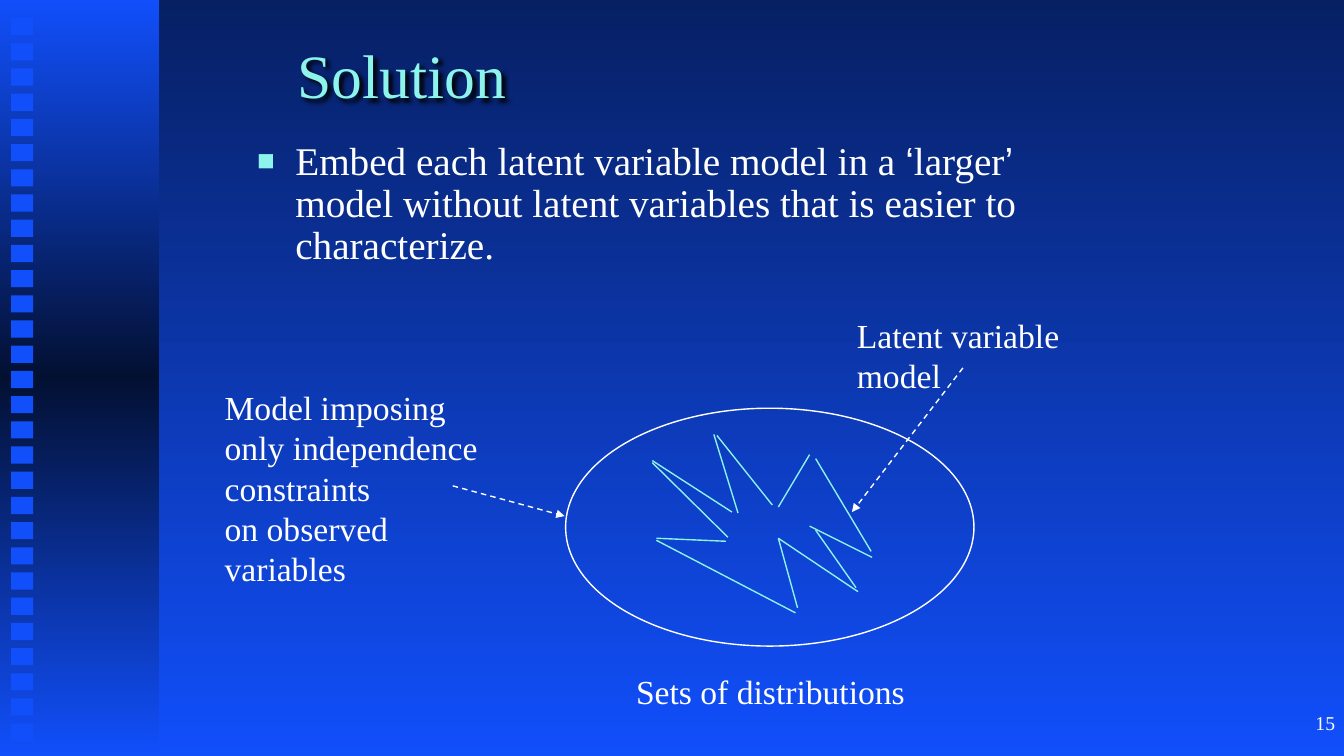
from copy import deepcopy
from dataclasses import dataclass

from lxml.etree import SubElement
from pptx import Presentation
from pptx.dml.color import RGBColor
from pptx.dml.fill import FillFormat
from pptx.enum.dml import MSO_LINE
from pptx.enum.shapes import MSO_CONNECTOR, MSO_SHAPE as Preset
from pptx.enum.text import MSO_ANCHOR as Anchor, MSO_AUTO_SIZE as AutoSize, PP_ALIGN as Align
from pptx.oxml.ns import qn
from pptx.shapes.base import BaseShape
from pptx.slide import Slide
from pptx.text.text import Font
from pptx.util import Inches, Length, Pt

BLUE = RGBColor(0x11, 0x4F, 0xFB)
NAVY = RGBColor(0x07, 0x20, 0x64)
MIDNIGHT = RGBColor(0x03, 0x10, 0x32)
AQUA = RGBColor(0x8C, 0xF4, 0xEA)
WHITE = RGBColor(0xFF, 0xFF, 0xFF)
SERIF, SANS = "Times New Roman", "Arial"

# Grid: 30 rows on the slide's height, columns as wide as the rows are high
SLIDE_WIDTH, SLIDE_HEIGHT = Inches(13.33), Inches(7.5)
ROWS = 30
MARK_COUNT = 29


def grid(units: float) -> Length:
    return Length(round(SLIDE_HEIGHT * units / ROWS))


@dataclass(frozen=True)
class Box:
    column: float
    row: float
    columns: float
    rows: float

    def lengths(self) -> tuple[Length, ...]:
        return tuple(map(grid, (self.column, self.row, self.columns, self.rows)))


@dataclass(frozen=True)
class Stroke:
    from_column: float
    from_row: float
    to_column: float
    to_row: float


@dataclass(frozen=True)
class Label:
    box: Box
    lines: tuple[str, ...]
    wrap: bool = False
    size: int = 24
    align: Align = Align.LEFT


PANEL = Box(0, 0, 6.32, 29.96)
TITLE = Box(11.4, 0.92, 33.76, 4)
BODY = Box(9.8, 5.4, 34.08, 5.6)
OUTER_MODEL = Box(22.44, 16.2, 16.2, 9.44)

BODY_RUNS = (
    ("Embed each latent variable model in a ", SERIF),
    ("‘", SANS),
    ("larger", SERIF),
    ("’", SANS),
    (" model without latent variables that is easier to characterize.", SERIF),
)

LATENT_MODEL = (
    Stroke(25.88, 18.28, 29.04, 20.32),
    Stroke(29.28, 20.36, 28.32, 17.24),
    Stroke(28.44, 17.28, 30.64, 20.04),
    Stroke(30.88, 20.12, 32.12, 18.04),
    Stroke(32.36, 18.2, 34.56, 21.88),
    Stroke(34.6, 22.12, 32.12, 20.88),
    Stroke(32.36, 21.04, 33.96, 23.32),
    Stroke(30.88, 21.36, 34.04, 23.48),
    Stroke(30.88, 21.36, 31.64, 24.12),
    Stroke(25.88, 18.36, 28.88, 21.32),
    Stroke(26.04, 21.36, 28.8, 21.48),
    Stroke(26.04, 21.44, 31.56, 24.32),
)
POINTERS = (
    Stroke(17.96, 19.28, 22.4, 20.48),
    Stroke(38.2, 14.6, 33.8, 20.32),
)
LABELS = (
    Label(Box(33.6, 12.28, 8.88, 3.64), ("Latent variable", "model")),
    Label(
        Box(8.52, 15.16, 12.4, 6.84),
        ("Model imposing", "only independence", "constraints", "on observed variables"),
        wrap=True,
    ),
    Label(Box(24.84, 26.44, 11.56, 2), ("Sets of distributions",)),
    Label(Box(42.24, 28, 11.12, 2), ("15",), wrap=True, size=14, align=Align.RIGHT),
)


def set_font(font: Font, size: float, color: RGBColor) -> None:
    font.name, font.size = SERIF, Pt(size)
    font.color.rgb = color


def set_gradient(fill: FillFormat, owner, colors: tuple[RGBColor, ...]) -> None:
    """Fill from top to bottom with evenly spaced colours."""
    fill.gradient()
    fill.gradient_angle = 270
    stops = owner.find(".//" + qn("a:gsLst"))
    while len(stops) < len(colors):
        stops.append(deepcopy(stops[0]))
    for index, (stop, color) in enumerate(zip(fill.gradient_stops, colors)):
        stop.color.rgb = color
        stop.position = index / (len(colors) - 1)


def add_preset(slide: Slide, preset: Preset, box: Box) -> BaseShape:
    shape = slide.shapes.add_shape(preset, *box.lengths())
    shape.shadow.inherit = False
    shape.line.fill.background()
    return shape


def add_stroke(slide: Slide, stroke: Stroke, color: RGBColor, pointer: bool = False) -> None:
    ends = (stroke.from_column, stroke.from_row, stroke.to_column, stroke.to_row)
    connector = slide.shapes.add_connector(MSO_CONNECTOR.STRAIGHT, *map(grid, ends))
    connector.line.color.rgb = color
    connector.line.width = Pt(1)
    properties = connector.element.spPr
    if pointer:
        connector.line.dash_style = MSO_LINE.DASH
        SubElement(properties.find(qn("a:ln")), qn("a:tailEnd"), type="triangle")
    SubElement(properties, qn("a:effectLst"))


def add_label(slide: Slide, label: Label) -> None:
    frame = slide.shapes.add_textbox(*label.box.lengths()).text_frame
    frame.word_wrap = label.wrap
    frame.text = "\n".join(label.lines)
    for paragraph in frame.paragraphs:
        paragraph.alignment = label.align
        set_font(paragraph.font, label.size, WHITE)


def place(shape: BaseShape, box: Box, anchor: Anchor) -> None:
    shape.left, shape.top, shape.width, shape.height = box.lengths()
    shape.text_frame.vertical_anchor = anchor
    shape.text_frame.auto_size = AutoSize.NONE


def fill_title(title: BaseShape) -> None:
    place(title, TITLE, Anchor.MIDDLE)
    title.text_frame.text = "Solution"
    paragraph = title.text_frame.paragraphs[0]
    paragraph.alignment = Align.LEFT
    set_font(paragraph.font, 44, AQUA)
    effects = SubElement(title.element.spPr, qn("a:effectLst"))
    shadow = SubElement(effects, qn("a:outerShdw"), blurRad="38100", dist="38100", dir="2700000")
    SubElement(shadow, qn("a:srgbClr"), val="000000")


def fill_body(body: BaseShape) -> None:
    place(body, BODY, Anchor.TOP)
    paragraph = body.text_frame.paragraphs[0]
    paragraph.line_spacing = 0.9
    paragraph.space_before = Pt(0)
    properties = paragraph._p.get_or_add_pPr()
    properties.set("marL", str(Inches(0.38)))
    properties.set("indent", str(-Inches(0.38)))
    SubElement(SubElement(properties, qn("a:buClr")), qn("a:srgbClr"), val=str(AQUA))
    SubElement(properties, qn("a:buSzPct"), val="75000")
    SubElement(properties, qn("a:buFont"), typeface=SANS)
    SubElement(properties, qn("a:buChar"), char="■")
    set_font(paragraph.font, 28, WHITE)
    for text, typeface in BODY_RUNS:
        run = paragraph.add_run()
        run.text, run.font.name = text, typeface


def main() -> None:
    presentation = Presentation()
    presentation.slide_width, presentation.slide_height = SLIDE_WIDTH, SLIDE_HEIGHT
    slide = presentation.slides.add_slide(presentation.slide_layouts[1])

    # Background and the side panel with its column of marks
    set_gradient(slide.background.fill, slide.element, (NAVY, BLUE))
    panel = add_preset(slide, Preset.RECTANGLE, PANEL)
    set_gradient(panel.fill, panel.element, (BLUE, MIDNIGHT, BLUE))
    for index in range(MARK_COUNT):
        mark = add_preset(slide, Preset.RECTANGLE, Box(0.44, 0.72 + index, 0.88, 0.68))
        mark.fill.solid()
        mark.fill.fore_color.rgb = BLUE

    # Title and statement
    fill_title(slide.shapes.title)
    fill_body(slide.placeholders[1])

    # Larger model around the latent variable model
    ellipse = add_preset(slide, Preset.OVAL, OUTER_MODEL)
    ellipse.fill.background()
    ellipse.line.color.rgb = WHITE
    ellipse.line.width = Pt(1)
    for stroke in LATENT_MODEL:
        add_stroke(slide, stroke, AQUA)

    # Pointers, labels and slide number
    for stroke in POINTERS:
        add_stroke(slide, stroke, WHITE, pointer=True)
    for label in LABELS:
        add_label(slide, label)

    presentation.save("out.pptx")


if __name__ == "__main__":
    main()
